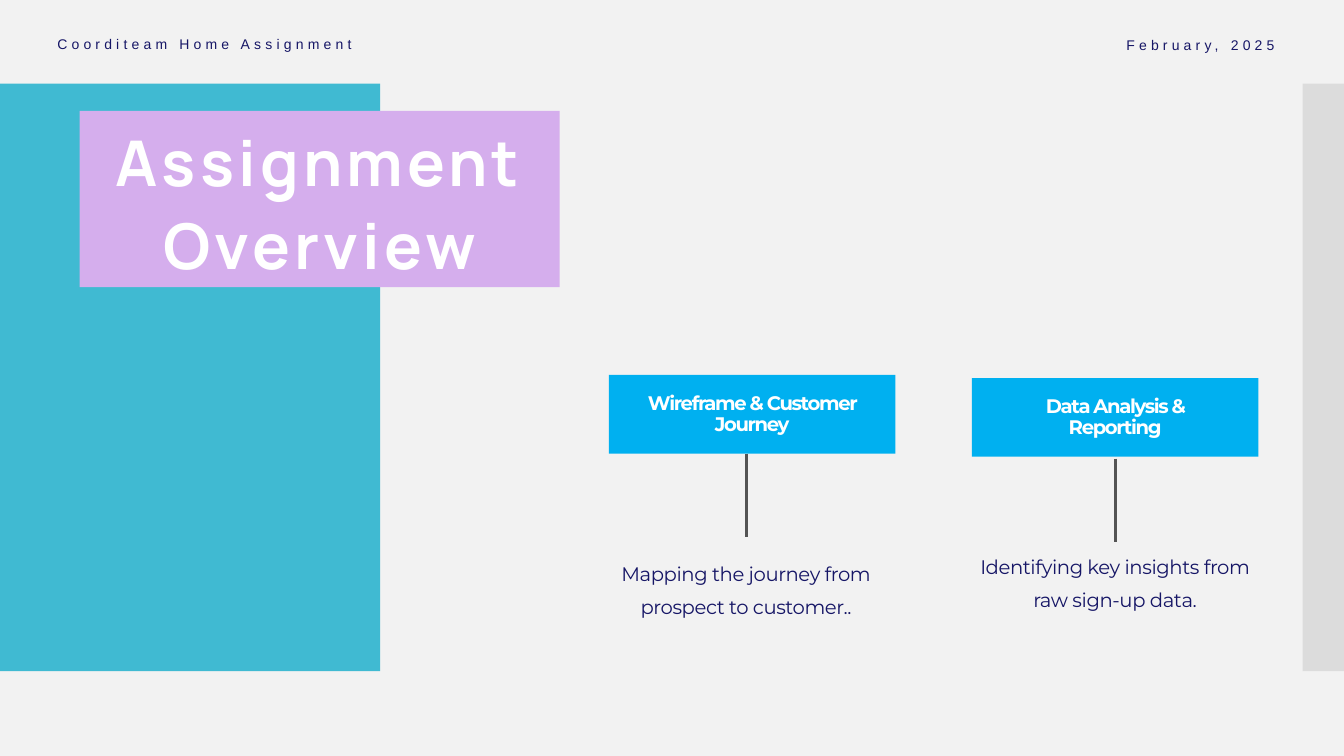
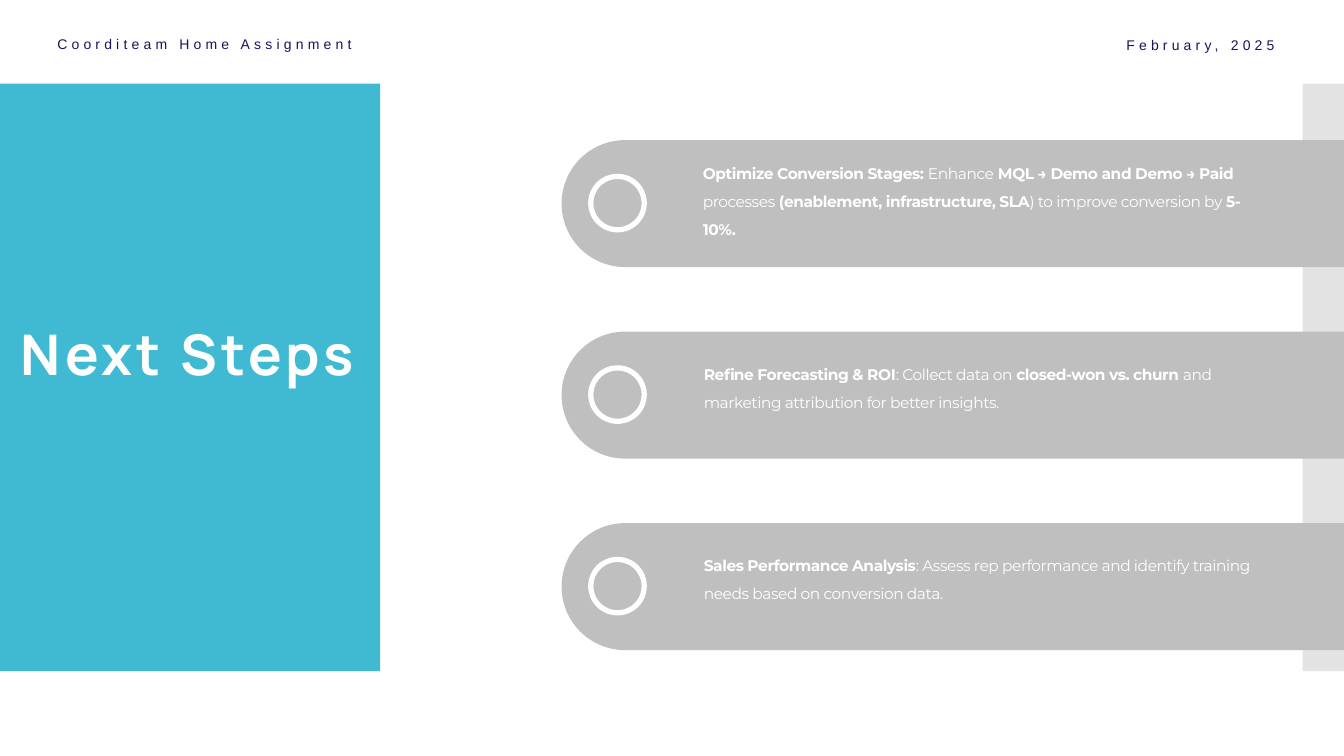
from dataclasses import dataclass

from lxml.etree import SubElement
from pptx import Presentation
from pptx.dml.color import RGBColor
from pptx.enum.shapes import MSO_CONNECTOR, MSO_SHAPE
from pptx.enum.text import MSO_ANCHOR, MSO_AUTO_SIZE, PP_ALIGN
from pptx.oxml.ns import qn
from pptx.presentation import Presentation as Deck
from pptx.shapes.autoshape import Shape
from pptx.slide import Slide
from pptx.text.text import TextFrame
from pptx.util import Inches, Pt

TEAL, LILAC, BLUE = "40BAD2", "D5AEED", "00B0F0"
NAVY, INDIGO, WHITE = "161666", "1D135D", "FFFFFF"
PALE_GRAY, LIGHT_GRAY, SILVER, DARK_GRAY = "F2F2F2", "C8C8C8", "BFBFBF", "545454"
TITLE_ONLY = 5


@dataclass(frozen=True)
class Box:
    left: float
    top: float
    width: float
    height: float

    def lengths(self) -> tuple[int, int, int, int]:
        return (Inches(self.left), Inches(self.top),
                Inches(self.width), Inches(self.height))


@dataclass(frozen=True)
class TextStyle:
    font: str
    size: float
    color: str
    bold: bool | None = None
    tracking: float = 0
    align: PP_ALIGN = PP_ALIGN.LEFT
    line_spacing: float = 1
    before: float = 0
    after: float = 0
    indent: float = 0


@dataclass(frozen=True)
class Topic:
    heading: str
    heading_box: Box
    line_x: float
    line_top: float
    body: tuple[str, ...]
    body_box: Box


@dataclass(frozen=True)
class Step:
    """One step; its phrases alternate between bold and regular."""
    phrases: tuple[str, ...]
    text_box: Box


TOPICS = (
    Topic("Wireframe & Customer Journey", Box(6.04, 3.72, 2.84, 0.78), 7.4, 4.5,
          ("Mapping the journey from", "prospect to customer.."),
          Box(5.98, 5.43, 2.84, 0.76)),
    Topic("Data Analysis & Reporting", Box(9.64, 3.75, 2.84, 0.78), 11.06, 4.55,
          ("Identifying key insights from", "raw sign-up data."),
          Box(9.64, 5.36, 2.84, 0.76)),
)
STEPS = (
    Step(("Optimize Conversion Stages: ", "Enhance", " MQL → Demo and Demo → Paid ",
          "processes ", "(enablement, infrastructure, SLA",
          ") to improve conversion by ", "5-10%."), Box(6.67, 1.49, 5.82, 1.1)),
    Step(("Refine Forecasting & ROI", ": Collect data on ", "closed-won vs. churn ",
          "and marketing attribution for better insights."),
         Box(6.68, 3.48, 5.82, 0.82)),
    Step(("Sales Performance Analysis",
          ": Assess rep performance and identify training needs "
          "based on conversion data."), Box(6.68, 5.38, 5.82, 0.82)),
)
HEADING_STYLE = TextStyle("Montserrat", 14, WHITE, True, -1, PP_ALIGN.CENTER, 0.9)
BODY_STYLE = TextStyle("Montserrat", 14, NAVY, None, -0.3, PP_ALIGN.CENTER, 1.4)
STEP_STYLE = TextStyle("Montserrat", 11, WHITE, None, -0.3, PP_ALIGN.LEFT, 1.5,
                       before=6, after=6, indent=0.25)


def rgb(color: str) -> RGBColor:
    return RGBColor.from_string(color)


def write(frame: TextFrame, paragraphs: tuple[tuple[str, ...], ...],
          style: TextStyle) -> None:
    """Write paragraphs of phrases; several phrases alternate bold and regular."""
    frame.word_wrap = True
    for index, phrases in enumerate(paragraphs):
        paragraph = frame.add_paragraph() if index else frame.paragraphs[0]
        paragraph.alignment = style.align
        paragraph.line_spacing = style.line_spacing
        paragraph.space_before = Pt(style.before)
        paragraph.space_after = Pt(style.after)
        font = paragraph.font
        font.name, font.size, font.bold = style.font, Pt(style.size), style.bold
        font.color.rgb = rgb(style.color)
        properties = paragraph._p.get_or_add_pPr()
        properties.set("marL", str(Inches(style.indent)))
        properties.set("indent", "0")
        tracking = str(round(style.tracking * 100))
        properties.find(qn("a:defRPr")).set("spc", tracking)
        for position, phrase in enumerate(phrases):
            run = paragraph.add_run()
            run.text = phrase
            run._r.get_or_add_rPr().set("spc", tracking)
            if len(phrases) > 1:
                run.font.bold = position % 2 == 0


def set_insets(frame: TextFrame, horizontal: float, vertical: float = 0.05) -> None:
    frame.margin_left = frame.margin_right = Inches(horizontal)
    frame.margin_top = frame.margin_bottom = Inches(vertical)


def add_text(slide: Slide, box: Box, paragraphs: tuple[tuple[str, ...], ...],
             style: TextStyle, inset: float = 0.05) -> None:
    frame = slide.shapes.add_textbox(*box.lengths()).text_frame
    set_insets(frame, inset)
    frame.auto_size = MSO_AUTO_SIZE.SHAPE_TO_FIT_TEXT
    write(frame, paragraphs, style)


def add_filled(slide: Slide, kind: MSO_SHAPE, box: Box, color: str) -> Shape:
    shape = slide.shapes.add_shape(kind, *box.lengths())
    shape.shadow.inherit = False
    shape.fill.solid()
    shape.fill.fore_color.rgb = rgb(color)
    shape.line.fill.background()
    return shape


def add_bands(slide: Slide) -> None:
    """Draw the side bands behind the title."""
    left = add_filled(slide, MSO_SHAPE.RECTANGLE, Box(0, 0.83, 3.77, 5.83), TEAL)
    right = add_filled(slide, MSO_SHAPE.RECTANGLE, Box(12.92, 0.83, 0.42, 5.83),
                       LIGHT_GRAY)
    color = right.element.spPr.find(qn("a:solidFill")).find(qn("a:srgbClr"))
    SubElement(color, qn("a:alpha")).set("val", "50000")
    for band in (left, right):
        slide.shapes.title.element.addprevious(band.element)


def add_header(slide: Slide, color: str) -> None:
    for text, box, align in (
        ("Coorditeam Home Assignment", Box(0.47, 0.23, 3.64, 0.33), PP_ALIGN.LEFT),
        ("February, 2025", Box(11, 0.24, 1.74, 0.32), PP_ALIGN.RIGHT),
    ):
        style = TextStyle("Arial", 10, color, None, 3, align, 1.45, 12, 6)
        add_text(slide, box, ((text,),), style, inset=0.1)


def add_base_slide(presentation: Deck, background: str, header_color: str,
                   title_text: str, title_box: Box, title_size: float) -> Slide:
    slide = presentation.slides.add_slide(presentation.slide_layouts[TITLE_ONLY])
    slide.background.fill.solid()
    slide.background.fill.fore_color.rgb = rgb(background)
    title = slide.shapes.title
    title.left, title.top, title.width, title.height = title_box.lengths()
    frame = title.text_frame
    set_insets(frame, 0.1)
    frame.vertical_anchor = MSO_ANCHOR.BOTTOM
    frame.auto_size = MSO_AUTO_SIZE.SHAPE_TO_FIT_TEXT
    write(frame, ((title_text,),), TextStyle("Manrope", title_size, WHITE, True, 3,
                                             PP_ALIGN.CENTER, 1.1))
    add_bands(slide)
    add_header(slide, header_color)
    return slide


def add_topic(slide: Slide, topic: Topic) -> None:
    heading = add_filled(slide, MSO_SHAPE.RECTANGLE, topic.heading_box, BLUE)
    set_insets(heading.text_frame, 0.3)
    heading.text_frame.vertical_anchor = MSO_ANCHOR.MIDDLE
    write(heading.text_frame, ((topic.heading,),), HEADING_STYLE)
    x, top = Inches(topic.line_x), Inches(topic.line_top)
    line = slide.shapes.add_connector(MSO_CONNECTOR.STRAIGHT, x, top,
                                      x, top + Inches(0.83))
    line.line.color.rgb = rgb(DARK_GRAY)
    line.line.width = Pt(2)
    SubElement(line.element.spPr, qn("a:effectLst"))
    add_text(slide, topic.body_box, tuple((text,) for text in topic.body), BODY_STYLE)


def add_step(slide: Slide, step: Step, top: float) -> None:
    bar = add_filled(slide, MSO_SHAPE.ROUNDED_RECTANGLE, Box(5.57, top, 8.6, 1.26),
                     SILVER)
    bar.adjustments[0] = 0.5
    ring = add_filled(slide, MSO_SHAPE.OVAL, Box(5.86, top + 0.36, 0.53, 0.53), SILVER)
    ring.fill.background()
    ring.line.color.rgb = rgb(WHITE)
    ring.line.width = Pt(3.75)
    add_text(slide, step.text_box, (step.phrases,), STEP_STYLE)


def add_overview_slide(presentation: Deck) -> None:
    slide = add_base_slide(presentation, PALE_GRAY, NAVY, "Assignment Overview",
                           Box(0.79, 1.1, 4.76, 1.75), 45)
    slide.shapes.title.fill.solid()
    slide.shapes.title.fill.fore_color.rgb = rgb(LILAC)
    for topic in TOPICS:
        add_topic(slide, topic)


def add_next_steps_slide(presentation: Deck) -> None:
    slide = add_base_slide(presentation, WHITE, INDIGO, "Next Steps",
                           Box(-0.39, 3.07, 4.5, 0.82), 40)
    for index, step in enumerate(STEPS):
        add_step(slide, step, 1.39 + index * 1.9)


def main() -> None:
    presentation = Presentation()
    presentation.slide_width = Inches(13.33)
    presentation.slide_height = Inches(7.5)
    add_overview_slide(presentation)
    add_next_steps_slide(presentation)
    presentation.save("out.pptx")


if __name__ == "__main__":
    main()
